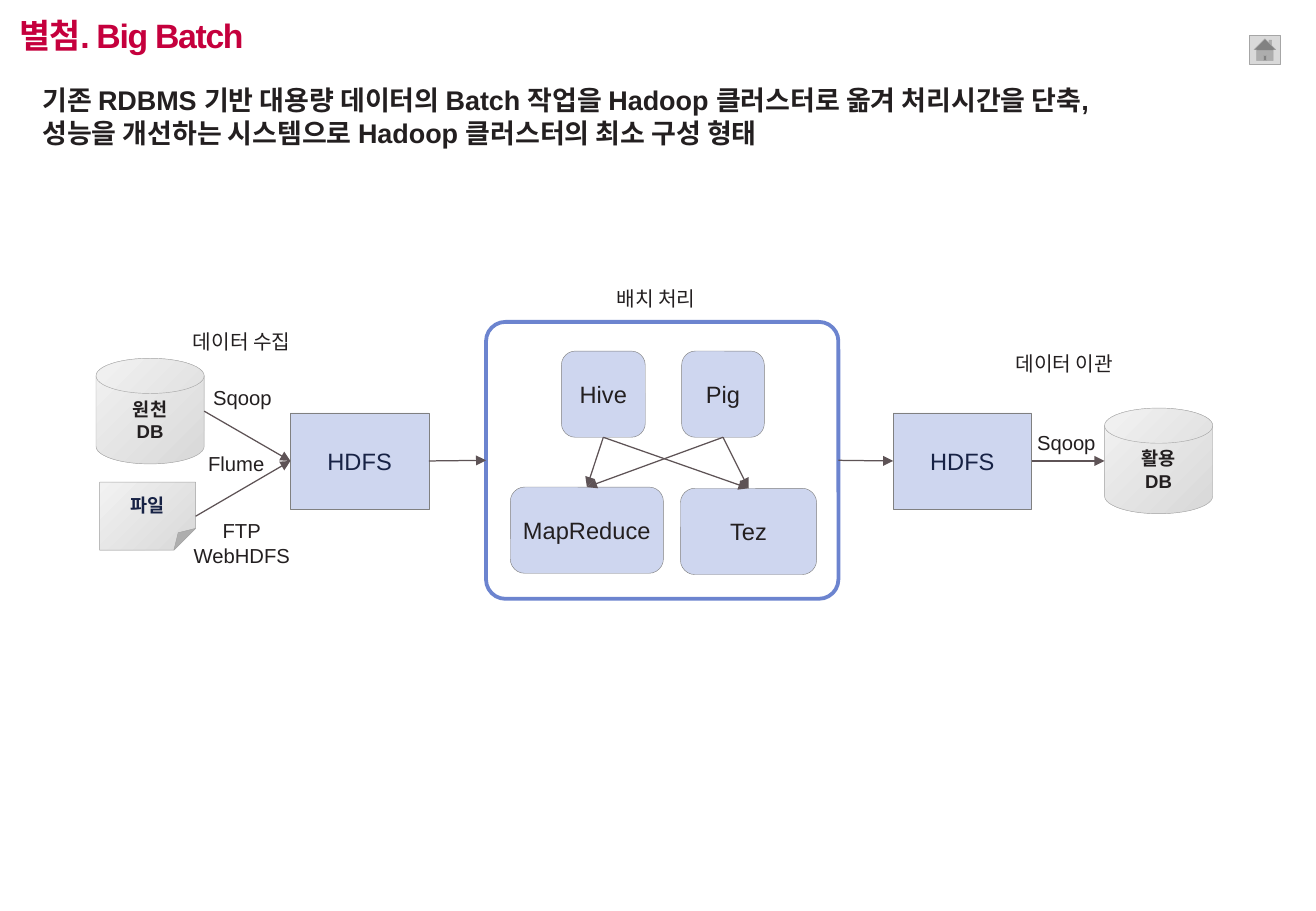
import pptx
import pptx.util
import pptx.dml.color
import pptx.enum.shapes
import pptx.enum.text
import pptx.oxml.ns
import lxml.etree

Inches = pptx.util.Inches
Pt = pptx.util.Pt
KIND = pptx.enum.shapes.MSO_SHAPE
ALIGN = pptx.enum.text.PP_ALIGN
ANCHOR = pptx.enum.text.MSO_ANCHOR
FIT = pptx.enum.text.MSO_AUTO_SIZE
qn = pptx.oxml.ns.qn

TOP, LEFT, BOTTOM, RIGHT = range(4)
LATIN, HANGUL = "Arial", "Noto Sans CJK KR"
COLORS = {
    "title": "C5003D", "text": "231F20", "navy": "172245",
    "box": "CED6EF", "edge": "808080", "frame": "6C84CF", "arrow": "5E5356",
    "dark": "D8D8D8", "light": "F2F2F2", "rim": "A6A6A6", "home": "D9D9D9",
}


def color(name):
    """Return the named colour."""
    return pptx.dml.color.RGBColor.from_string(COLORS[name])


def add_run(para, text, size, tint="text", bold=False, face=LATIN):
    """Add one formatted run to a paragraph."""
    run = para.add_run()
    run.text = text
    font = run.font
    font.size, font.bold, font.name = Pt(size), bold, face
    font.color.rgb = color(tint)
    props = run._r.get_or_add_rPr()
    lxml.etree.SubElement(props, qn("a:ea")).set("typeface", HANGUL)
    return props


def add_lines(frame, lines, size, align=ALIGN.CENTER, **style):
    """Write each line as a paragraph of the frame."""
    for i, line in enumerate(lines):
        para = frame.paragraphs[0] if i == 0 else frame.add_paragraph()
        para.alignment = align
        add_run(para, line, size, **style)


def add_shape(slide, kind, box, edge="edge", width=0.25):
    """Add an outlined shape without fill or shadow."""
    shape = slide.shapes.add_shape(kind, *map(Inches, box))
    shape.shadow.inherit = False
    shape.fill.background()
    shape.line.color.rgb = color(edge)
    shape.line.width = Pt(width)
    return shape


def add_box(slide, kind, box, name, tint="text", inset=0.1):
    """Add a blue box that carries a tool name."""
    shape = add_shape(slide, kind, box)
    shape.fill.solid()
    shape.fill.fore_color.rgb = color("box")
    frame = shape.text_frame
    frame.margin_left = frame.margin_right = Inches(inset)
    frame.vertical_anchor = ANCHOR.MIDDLE
    add_lines(frame, [name], 14, tint=tint)
    return shape


def add_store(slide, kind, box, lines, tint="text"):
    """Add a grey shaded data store."""
    shape = add_shape(slide, kind, box, "rim")
    shape.fill.gradient()
    shape.fill.gradient_angle = 135
    for stop, shade in zip(shape.fill.gradient_stops, ("dark", "light")):
        stop.color.rgb = color(shade)
    frame = shape.text_frame
    frame.margin_left = frame.margin_right = Inches(0.04)
    frame.vertical_anchor = ANCHOR.MIDDLE
    add_lines(frame, lines, 11, tint=tint, bold=True)
    return shape


def set_fold(shape, part):
    """Set the size of a folded corner as a part of the height."""
    geom = shape._element.spPr.find(qn("a:prstGeom"))
    guides = geom.find(qn("a:avLst"))
    if guides is None:
        guides = lxml.etree.SubElement(geom, qn("a:avLst"))
    guide = lxml.etree.SubElement(guides, qn("a:gd"))
    guide.set("name", "adj")
    guide.set("fmla", f"val {round(part * 100000)}")


def add_label(slide, box, lines, face=LATIN):
    """Add a free label that grows with its text."""
    label = slide.shapes.add_textbox(*map(Inches, box))
    label.text_frame.word_wrap = False
    label.text_frame.auto_size = FIT.SHAPE_TO_FIT_TEXT
    add_lines(label.text_frame, lines, 12, face=face)


def side(shape, site):
    """Return the middle point of one side of a shape."""
    dx, dy = ((0.5, 0), (0, 0.5), (0.5, 1), (1, 0.5))[site]
    return (int(shape.left + shape.width * dx),
            int(shape.top + shape.height * dy))


def add_arrow(slide, start, end, out=RIGHT, into=LEFT):
    """Draw an arrow between two sides and join it where sites match."""
    line = slide.shapes.add_connector(
        pptx.enum.shapes.MSO_CONNECTOR.STRAIGHT,
        *side(start, out), *side(end, into))
    disk = KIND.FLOWCHART_MAGNETIC_DISK
    if start.auto_shape_type != disk:
        line.begin_connect(start, out)
    if end.auto_shape_type != disk:
        line.end_connect(end, into)
    line.line.color.rgb = color("arrow")
    line.line.width = Pt(0.75)
    props = line._element.spPr
    tail = lxml.etree.SubElement(props.find(qn("a:ln")), qn("a:tailEnd"))
    tail.set("type", "triangle")
    lxml.etree.SubElement(props, qn("a:effectLst"))


def add_header(slide, x, y):
    """Place the title, the summary and the home button."""
    title = slide.shapes.title
    title.left, title.top = Inches(x), Inches(y)
    title.width, title.height = Inches(8.04), Inches(0.47)
    title.text_frame.vertical_anchor = ANCHOR.MIDDLE
    para = title.text_frame.paragraphs[0]
    para.alignment = ALIGN.LEFT
    add_run(para, "별첨. Big Batch", 20, "title", True).set("spc", "-80")

    note = slide.shapes.add_textbox(
        *map(Inches, (x + 0.19, y + 0.59, 10.52, 0.63)))
    note.text_frame.word_wrap = True
    para = note.text_frame.paragraphs[0]
    add_run(para, "기존 RDBMS 기반 대용량 데이터의 Batch 작업을 Hadoop "
            "클러스터로 옮겨 처리시간을 단축,", 16, bold=True)
    para.add_line_break()
    add_run(para, "성능을 개선하는 시스템으로 Hadoop 클러스터의 최소 구성 형태",
            16, bold=True)

    home = add_shape(slide, KIND.ACTION_BUTTON_HOME,
                     (x + 10.22, y + 0.24, 0.26, 0.24), "rim")
    home.fill.solid()
    home.fill.fore_color.rgb = color("home")


def add_intake(slide, x, y):
    """Place the data sources and return the store they feed."""
    hdfs = add_box(slide, KIND.RECTANGLE, (x + 1.6, y + 0.74, 1.14, 0.79),
                   "HDFS", "navy")
    base = add_store(slide, KIND.FLOWCHART_MAGNETIC_DISK,
                     (x, y + 0.29, 0.89, 0.87), ["원천", "DB"])
    file = add_store(slide, KIND.FOLDED_CORNER,
                     (x + 0.03, y + 1.31, 0.79, 0.56), ["파일"], "navy")
    set_fold(file, 0.32)
    for source in (base, file):
        add_arrow(slide, source, hdfs)
    add_label(slide, (x + 0.68, y, 1.04, 0.3), ["데이터 수집"], HANGUL)
    add_label(slide, (x + 0.86, y + 0.46, 0.69, 0.3), ["Sqoop"])
    add_label(slide, (x + 0.82, y + 1.01, 0.67, 0.3), ["Flume"])
    add_label(slide, (x + 0.7, y + 1.56, 1, 0.5), ["FTP", "WebHDFS"])
    return hdfs


def add_batch(slide, x, y):
    """Place the batch tools and return their frame."""
    kind = KIND.ROUNDED_RECTANGLE
    frame = add_shape(slide, kind, (x, y + 0.34, 2.9, 2.28), "frame", 2.25)
    frame.adjustments[0] = 0.07
    add_label(slide, (x + 0.96, y, 0.88, 0.3), ["배치 처리"], HANGUL)
    tools = [add_box(slide, kind, (x + dx, y + 0.58, w, 0.71), name)
             for name, dx, w in (("Hive", 0.62, 0.69), ("Pig", 1.61, 0.68))]
    cores = [add_box(slide, kind, (x + dx, y + dy, w, 0.71), name, inset=0)
             for name, dx, dy, w in (("MapReduce", 0.2, 1.7, 1.26),
                                     ("Tez", 1.6, 1.71, 1.12))]
    for tool in tools:
        for core in cores:
            add_arrow(slide, tool, core, BOTTOM, TOP)
    return frame


def add_export(slide, x, y):
    """Place the target database and return the store that feeds it."""
    hdfs = add_box(slide, KIND.RECTANGLE, (x, y + 0.56, 1.14, 0.79),
                   "HDFS", "navy")
    base = add_store(slide, KIND.FLOWCHART_MAGNETIC_DISK,
                     (x + 1.74, y + 0.52, 0.89, 0.87), ["활용", "DB"])
    add_arrow(slide, hdfs, base)
    add_label(slide, (x + 0.89, y, 1.04, 0.3), ["데이터 이관"], HANGUL)
    add_label(slide, (x + 1.08, y + 0.65, 0.69, 0.3), ["Sqoop"])
    return hdfs


def main():
    """Build the slide and save it."""
    deck = pptx.Presentation()
    deck.slide_width, deck.slide_height = Inches(10.83), Inches(7.5)
    slide = deck.slides.add_slide(deck.slide_layouts[5])
    add_header(slide, 0.06, 0.05)
    intake = add_intake(slide, 0.79, 2.66)
    batch = add_batch(slide, 4, 2.31)
    export = add_export(slide, 7.35, 2.84)
    add_arrow(slide, intake, batch)
    add_arrow(slide, batch, export)
    deck.save("out.pptx")


if __name__ == "__main__":
    main()
